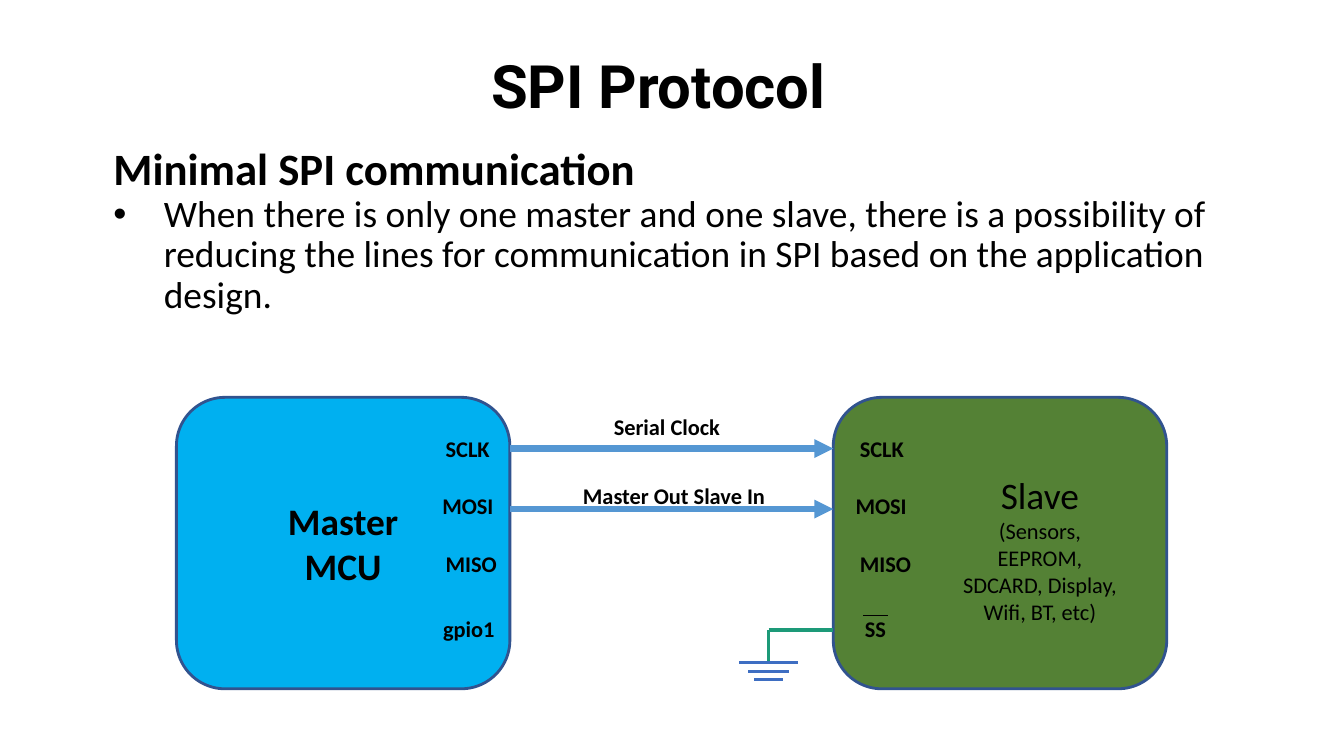
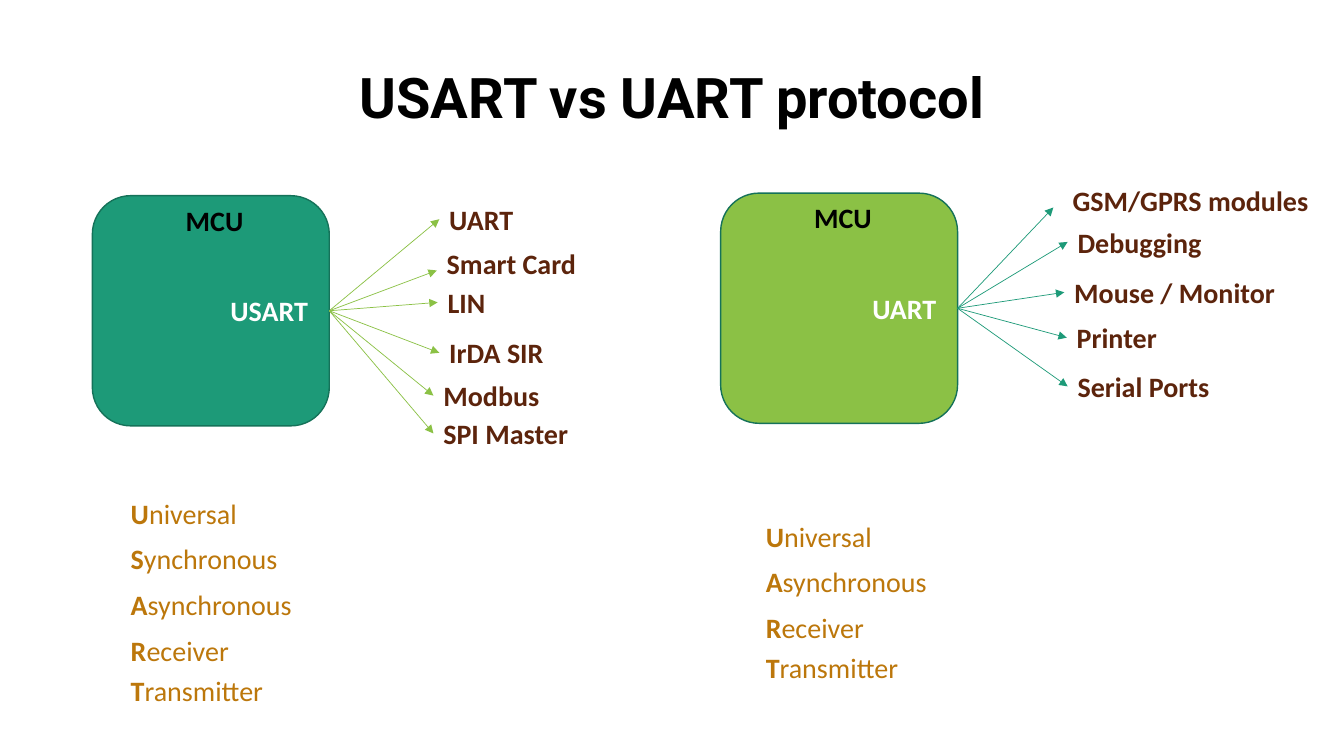
from dataclasses import dataclass
from typing import NamedTuple, Optional

from lxml.etree import SubElement
from pptx import Presentation
from pptx.dml.color import RGBColor
from pptx.enum.shapes import MSO_CONNECTOR, MSO_SHAPE
from pptx.enum.text import MSO_ANCHOR, MSO_AUTO_SIZE, PP_ALIGN
from pptx.oxml.ns import qn
from pptx.shapes.autoshape import Shape
from pptx.shapes.connector import Connector
from pptx.slide import Slide
from pptx.text.text import TextFrame, _Paragraph
from pptx.util import Inches, Pt

WIDTH, HEIGHT = Inches(13.33), Inches(7.5)
COLUMNS, ROWS = 160, 90


@dataclass(frozen=True)
class Theme:
    heading_font: str = "Roboto"
    body_font: str = "Calibri"
    black: RGBColor = RGBColor(0x00, 0x00, 0x00)
    white: RGBColor = RGBColor(0xFF, 0xFF, 0xFF)
    sky: RGBColor = RGBColor(0x00, 0xB0, 0xF0)
    forest: RGBColor = RGBColor(0x54, 0x81, 0x35)
    navy: RGBColor = RGBColor(0x31, 0x53, 0x8F)
    signal: RGBColor = RGBColor(0x55, 0x97, 0xD3)
    ground: RGBColor = RGBColor(0x3E, 0x6E, 0xC2)
    teal: RGBColor = RGBColor(0x1D, 0x9A, 0x78)
    dark_teal: RGBColor = RGBColor(0x15, 0x72, 0x59)
    lime: RGBColor = RGBColor(0x8B, 0xC1, 0x45)
    brown: RGBColor = RGBColor(0x5C, 0x24, 0x0C)
    ochre: RGBColor = RGBColor(0xBC, 0x77, 0x0B)
    subtitle_size: float = 32
    large_size: float = 26.7
    medium_size: float = 20
    small_size: float = 16


THEME = Theme()


class Area(NamedTuple):
    """A rectangle in grid columns and rows."""
    column: float
    row: float
    width: float
    height: float


class Point(NamedTuple):
    column: float
    row: float


class Style(NamedTuple):
    size: float
    color: RGBColor = THEME.black
    bold: bool = True
    align: PP_ALIGN = PP_ALIGN.LEFT
    font: str = THEME.body_font


class Inset(NamedTuple):
    horizontal: float = 0.1
    vertical: float = 0.05


class Pin(NamedTuple):
    text: str
    column: float
    row: float


class Target(NamedTuple):
    """A label and the arrow tip, which is placed relative to the label."""
    text: str
    column: float
    row: float
    width: float
    tip_shift: float = 0
    tip_drop: float = 2.6


@dataclass(frozen=True)
class Controller:
    peripheral: str
    box: Area
    fill: RGBColor
    arrow_color: RGBColor
    targets: tuple[Target, ...]
    acronym: tuple[str, ...]
    acronym_column: float


WIDE_INSET = Inset(0.13, 0.07)
PIN_ROWS = (51, 57.8, 64.6, 72.4)
MASTER_PINS = tuple(map(Pin, ("SCLK", "MOSI", "MISO", "gpio1"),
                        (51.5, 51.1, 51.5, 51.2), PIN_ROWS))
SLAVE_PINS = tuple(map(Pin, ("SCLK", "MOSI", "MISO", "SS"),
                       (100.8, 100.3, 100.8, 101.4), PIN_ROWS))

CONTROLLERS = (
    Controller(
        "USART", Area(11, 23.3, 28.2, 27.4), THEME.teal, THEME.lime,
        (Target("UART", 52.3, 23.5, 13.2),
         Target("Smart Card", 52, 28.7, 20.6, tip_drop=3.5),
         Target("LIN", 52.1, 33.4, 13.2),
         Target("IrDA SIR", 52.3, 39.4, 17.3),
         Target("Modbus", 51.6, 44.5, 18),
         Target("SPI Master", 51.6, 49, 20.6)),
        ("Universal", "Synchronous", "Asynchronous", "Receiver", "Transmitter"),
        12.8),
    Controller(
        "UART", Area(85.8, 23, 28.2, 27.4), THEME.lime, THEME.teal,
        (Target("GSM/GPRS modules", 126.5, 21.2, 33, -1.1, 3.5),
         Target("Debugging", 127.1, 26.2, 32.5),
         Target("Mouse / Monitor", 126.7, 32.2, 33),
         Target("Printer", 127, 37.6, 20.5),
         Target("Serial Ports", 127.1, 43.4, 26.6)),
        ("Universal", "Asynchronous", "Receiver", "Transmitter"),
        88.4),
)


def across(columns: float) -> int:
    return round(WIDTH * columns / COLUMNS)


def down(rows: float) -> int:
    return round(HEIGHT * rows / ROWS)


def bounds(area: Area) -> tuple[int, int, int, int]:
    return across(area.column), down(area.row), across(area.width), down(area.height)


def format_paragraph(paragraph: _Paragraph, style: Style) -> None:
    paragraph.alignment = style.align
    font = paragraph.font
    font.name, font.size = style.font, Pt(style.size)
    font.bold, font.color.rgb = style.bold, style.color


def fill_frame(frame: TextFrame, lines: list[tuple[str, Style]],
               inset: Inset, anchor: MSO_ANCHOR) -> None:
    frame.word_wrap = True
    frame.auto_size = MSO_AUTO_SIZE.NONE
    frame.vertical_anchor = anchor
    frame.margin_left = frame.margin_right = Inches(inset.horizontal)
    frame.margin_top = frame.margin_bottom = Inches(inset.vertical)
    for index, (text, style) in enumerate(lines):
        paragraph = frame.add_paragraph() if index else frame.paragraphs[0]
        paragraph.text = text
        format_paragraph(paragraph, style)


def add_text(slide: Slide, area: Area, *lines: tuple[str, Style],
             inset: Inset = Inset(), anchor: MSO_ANCHOR = MSO_ANCHOR.TOP) -> Shape:
    shape = slide.shapes.add_textbox(*bounds(area))
    fill_frame(shape.text_frame, list(lines), inset, anchor)
    return shape


def add_box(slide: Slide, area: Area, fill: RGBColor, line: RGBColor,
            line_width: float, *lines: tuple[str, Style],
            inset: Inset = Inset()) -> Shape:
    shape = slide.shapes.add_shape(MSO_SHAPE.ROUNDED_RECTANGLE, *bounds(area))
    shape.shadow.inherit = False
    shape.fill.solid()
    shape.fill.fore_color.rgb = fill
    shape.line.color.rgb = line
    shape.line.width = Pt(line_width)
    fill_frame(shape.text_frame, list(lines), inset, MSO_ANCHOR.MIDDLE)
    return shape


def add_line(slide: Slide, start: Point, end: Point, color: RGBColor,
             width: float, arrow: bool = False,
             source: Optional[Shape] = None) -> Connector:
    """Draw a line; with a source, it starts at the middle of its right side."""
    connector = slide.shapes.add_connector(
        MSO_CONNECTOR.STRAIGHT, across(start.column), down(start.row),
        across(end.column), down(end.row))
    if source is not None:
        connector.begin_connect(source, 3)
    connector.line.color.rgb = color
    connector.line.width = Pt(width)
    properties = connector._element.spPr
    if arrow:
        SubElement(properties.find(qn("a:ln")), qn("a:tailEnd"), type="triangle")
    SubElement(properties, qn("a:effectLst"))
    return connector


def add_titled_slide(presentation: Presentation, title: str, area: Area,
                     size: float) -> Slide:
    slide = presentation.slides.add_slide(presentation.slide_layouts[5])
    shape = slide.shapes.title
    shape.left, shape.top, shape.width, shape.height = bounds(area)
    style = Style(size, align=PP_ALIGN.CENTER, font=THEME.heading_font)
    fill_frame(shape.text_frame, [(title, style)], Inset(), MSO_ANCHOR.MIDDLE)
    shape.text_frame.paragraphs[0].line_spacing = 0.9
    return slide


def set_indent(paragraph: _Paragraph, margin: float, indent: float = 0,
               bullet: str = "") -> None:
    properties = paragraph._p.get_or_add_pPr()
    properties.set("marL", str(Inches(margin)))
    properties.set("indent", str(Inches(indent)))
    if bullet:
        SubElement(properties, qn("a:buFont"), typeface="Arial")
        SubElement(properties, qn("a:buChar"), char=bullet)


def add_introduction(slide: Slide) -> None:
    shape = add_text(slide, Area(11, 16.9, 138, 30.2))
    frame = shape.text_frame
    heading, point = frame.paragraphs[0], frame.add_paragraph()
    heading.text = "Minimal SPI communication"
    point.text = ("When there is only one master and one slave, there is a "
                  "possibility of reducing the lines for communication in SPI "
                  "based on the application design.")
    set_indent(heading, 0.11)
    set_indent(point, 0.61, -0.5, "•")
    format_paragraph(heading, Style(THEME.subtitle_size))
    format_paragraph(point, Style(THEME.large_size, bold=False))
    for paragraph in (heading, point):
        paragraph.line_spacing = 0.9


def add_ground(slide: Slide, center: float, wire_row: float, bar_row: float,
               chip_column: float) -> None:
    corner = Point(center, wire_row)
    for end in (Point(center, bar_row), Point(chip_column, wire_row)):
        add_line(slide, corner, end, THEME.teal, 2.25)
    for index, half in enumerate((3.5, 2.4, 1.7)):
        row = bar_row + index
        add_line(slide, Point(center - half, row), Point(center + half, row),
                 THEME.ground, 2.25)


def build_spi_slide(presentation: Presentation) -> None:
    slide = add_titled_slide(presentation, "SPI Protocol",
                             Area(9.4, 5.4, 138, 10.4), 42.7)
    add_introduction(slide)
    master = Area(21, 47.3, 39.7, 34.7)
    slave = master._replace(column=99.2)
    name = Style(THEME.large_size, align=PP_ALIGN.CENTER)
    small = Style(THEME.small_size)
    small_centered = small._replace(align=PP_ALIGN.CENTER)
    add_box(slide, master, THEME.sky, THEME.navy, 2,
            ("Master", name), ("MCU", name), inset=WIDE_INSET)
    add_box(slide, slave, THEME.forest, THEME.navy, 2)
    for pin in MASTER_PINS + SLAVE_PINS:
        add_text(slide, Area(pin.column, pin.row, 11.4, 4.8), (pin.text, small),
                 inset=WIDE_INSET)
    add_line(slide, Point(102.8, 73.3), Point(105.7, 73.3), THEME.black, 0.75)
    add_text(slide, Area(112.2, 55.4, 23.2, 19.9),
             ("Slave", name._replace(bold=False)),
             ("(Sensors, EEPROM, SDCARD, Display, Wifi, BT, etc)",
              small_centered._replace(bold=False)), inset=WIDE_INSET)
    signals = (("Serial Clock", Area(69.6, 48.4, 19.6, 4.8), 53.4),
               ("Master Out Slave In", Area(65.9, 56.5, 28.7, 4.8), 60.6))
    for text, area, row in signals:
        add_line(slide, Point(master.column + master.width, row),
                 Point(slave.column, row), THEME.signal, 4.5, arrow=True)
        add_text(slide, area, (text, small_centered), inset=WIDE_INSET)
    add_ground(slide, 91.5, 75, 78.9, slave.column)


def add_acronym(slide: Slide, words: tuple[str, ...], area: Area) -> None:
    """List the words with bold initials."""
    shape = add_text(slide, area, inset=Inset(0.23, 0.18), anchor=MSO_ANCHOR.MIDDLE)
    frame = shape.text_frame
    for index, word in enumerate(words):
        paragraph = frame.add_paragraph() if index else frame.paragraphs[0]
        initial = paragraph.add_run()
        initial.text, initial.font.bold = word[0], True
        paragraph.add_run().text = word[1:]
        format_paragraph(paragraph, Style(THEME.medium_size, THEME.ochre, bold=False))
        if index:
            paragraph.space_before = Pt(5 if word == words[-1] else 8.5)


def add_controller(slide: Slide, controller: Controller) -> None:
    area = controller.box
    style = Style(THEME.medium_size)
    box = add_box(slide, area, controller.fill, THEME.dark_teal, 1,
                  (controller.peripheral,
                   style._replace(color=THEME.white, align=PP_ALIGN.RIGHT)))
    add_text(slide, Area(area.column + 8, area.row + 0.3, 13.1, 5.3),
             ("MCU", style._replace(align=PP_ALIGN.CENTER)))
    start = Point(area.column + area.width, area.row + area.height / 2)
    for target in controller.targets:
        tip = Point(target.column + target.tip_shift, target.row + target.tip_drop)
        add_line(slide, start, tip, controller.arrow_color, 0.5, arrow=True, source=box)
        add_text(slide, Area(target.column, target.row, target.width, 5.3),
                 (target.text, style._replace(color=THEME.brown)))
    add_acronym(slide, controller.acronym,
                Area(controller.acronym_column, 55.8, 37.1, 31.7))


def build_usart_slide(presentation: Presentation) -> None:
    slide = add_titled_slide(presentation, "USART vs UART protocol",
                             Area(11, 3.2, 138, 17.4), 40)
    for controller in CONTROLLERS:
        add_controller(slide, controller)


def main() -> None:
    presentation = Presentation()
    presentation.slide_width, presentation.slide_height = WIDTH, HEIGHT
    build_spi_slide(presentation)
    build_usart_slide(presentation)
    presentation.save("out.pptx")


if __name__ == "__main__":
    main()
